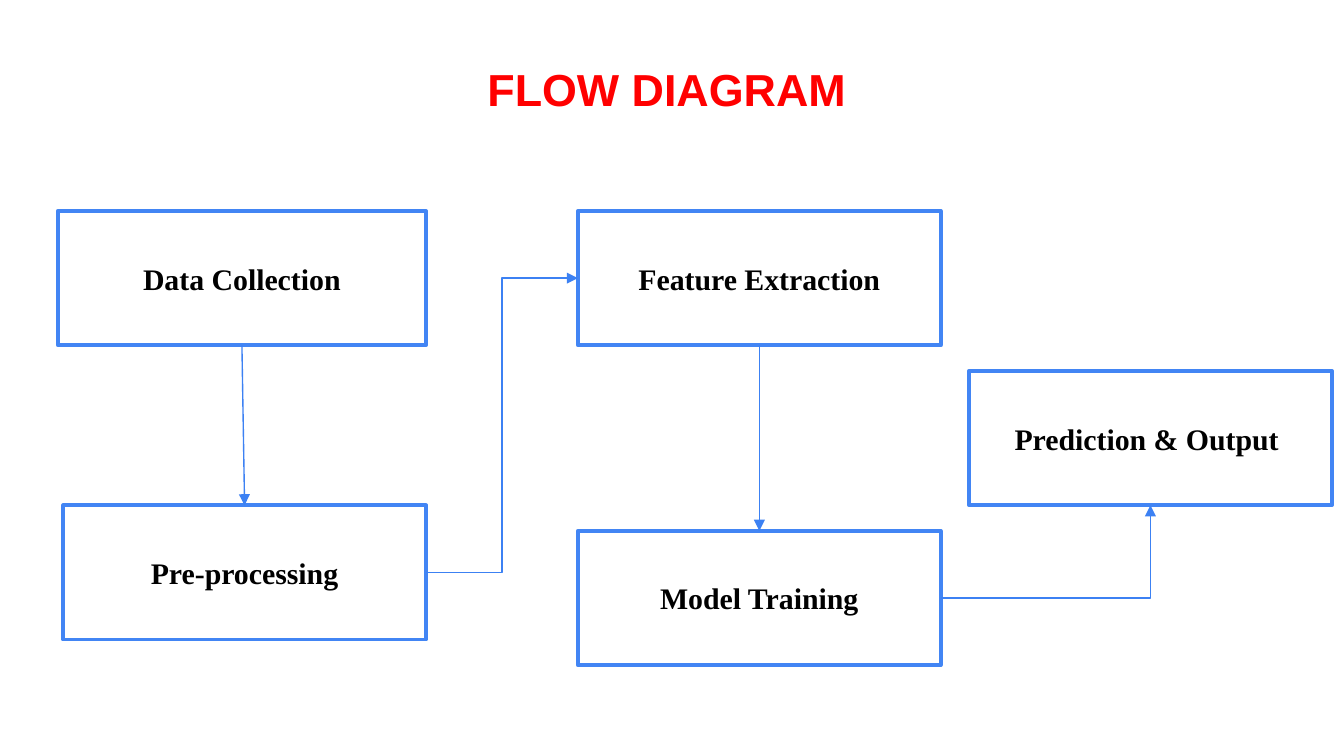
import pptx
import pptx.dml.color
import pptx.enum.shapes
import pptx.enum.text
import pptx.oxml
import pptx.oxml.ns
import pptx.util
from pptx.util import Inches

RED = pptx.dml.color.RGBColor(0xFF, 0x00, 0x00)
BLACK = pptx.dml.color.RGBColor(0x00, 0x00, 0x00)
WHITE = pptx.dml.color.RGBColor(0xFF, 0xFF, 0xFF)
BOX_BLUE = pptx.dml.color.RGBColor(0x42, 0x85, 0xF4)
ARROW_BLUE = pptx.dml.color.RGBColor(0x3C, 0x81, 0xF3)

# Connection sites of a rectangle
TOP, LEFT, BOTTOM, RIGHT = range(4)

STEP_HEIGHT = 1
# label: left, top, width
STEPS = {
    "Data Collection": (0.43, 1.57, 2.74),
    "Pre-processing": (0.47, 3.76, 2.7),
    "Prediction & Output ": (7.21, 2.76, 2.7),
    "Model Training": (4.3, 3.95, 2.7),
    "Feature Extraction": (4.3, 1.57, 2.7),
}
# source, its site, target, its site, geometry
FLOWS = [
    ("Data Collection", BOTTOM, "Pre-processing", TOP, "straightConnector1"),
    ("Pre-processing", RIGHT, "Feature Extraction", LEFT, "bentConnector3"),
    ("Feature Extraction", BOTTOM, "Model Training", TOP, "straightConnector1"),
    ("Model Training", RIGHT, "Prediction & Output ", BOTTOM, "bentConnector2"),
]


def write_centred(frame, text, font_name, size, color):
    frame.word_wrap = True
    frame.text = text
    paragraph = frame.paragraphs[0]
    paragraph.alignment = pptx.enum.text.PP_ALIGN.CENTER
    font = paragraph.runs[0].font
    font.name, font.size, font.bold = font_name, pptx.util.Pt(size), True
    font.color.rgb = color


def add_title(slide, left, top, width, height):
    title = slide.shapes.add_textbox(
        Inches(left), Inches(top), Inches(width), Inches(height))
    frame = title.text_frame
    frame.margin_top = frame.margin_bottom = Inches(0.1)
    write_centred(frame, "FLOW DIAGRAM", "Arial", 24, RED)
    frame.auto_size = pptx.enum.text.MSO_AUTO_SIZE.SHAPE_TO_FIT_TEXT


def add_step(slide, label, left, top, width):
    step = slide.shapes.add_shape(
        pptx.enum.shapes.MSO_SHAPE.RECTANGLE,
        Inches(left), Inches(top), Inches(width), Inches(STEP_HEIGHT))
    step.shadow.inherit = False
    step.fill.solid()
    step.fill.fore_color.rgb = WHITE
    step.line.color.rgb = BOX_BLUE
    step.line.width = pptx.util.Pt(2)
    step.text_frame.vertical_anchor = pptx.enum.text.MSO_ANCHOR.MIDDLE
    write_centred(step.text_frame, label, "Times New Roman", 16, BLACK)
    return step


def add_flow(slide, source, source_site, target, target_site, geometry):
    """Join two steps with an arrow that ends at the target."""
    kinds = pptx.enum.shapes.MSO_CONNECTOR
    kind = kinds.ELBOW if geometry.startswith("bent") else kinds.STRAIGHT
    arrow = slide.shapes.add_connector(kind, 0, 0, 0, 0)
    arrow.begin_connect(source, source_site)
    arrow.end_connect(target, target_site)
    arrow.line.color.rgb = ARROW_BLUE
    arrow.line.width = pptx.util.Pt(0.75)
    properties = arrow._element.spPr
    properties.find(pptx.oxml.ns.qn("a:prstGeom")).set("prst", geometry)
    head = pptx.oxml.parse_xml(
        f'<a:tailEnd {pptx.oxml.ns.nsdecls("a")} type="triangle"/>')
    arrow.line._get_or_add_ln().append(head)
    properties.append(pptx.oxml.parse_xml(
        f'<a:effectLst {pptx.oxml.ns.nsdecls("a")}/>'))


def add_flow_diagram(slide):
    steps = {label: add_step(slide, label, *box) for label, box in STEPS.items()}
    for source, source_site, target, target_site, geometry in FLOWS:
        add_flow(slide, steps[source], source_site,
                 steps[target], target_site, geometry)


def main():
    deck = pptx.Presentation()
    deck.slide_width = Inches(10)
    deck.slide_height = deck.slide_width * 9 // 16
    slide = deck.slides.add_slide(deck.slide_layouts[6])
    add_title(slide, 0, 0.36, 9.92, 0.61)
    add_flow_diagram(slide)
    deck.save("out.pptx")


if __name__ == "__main__":
    main()
